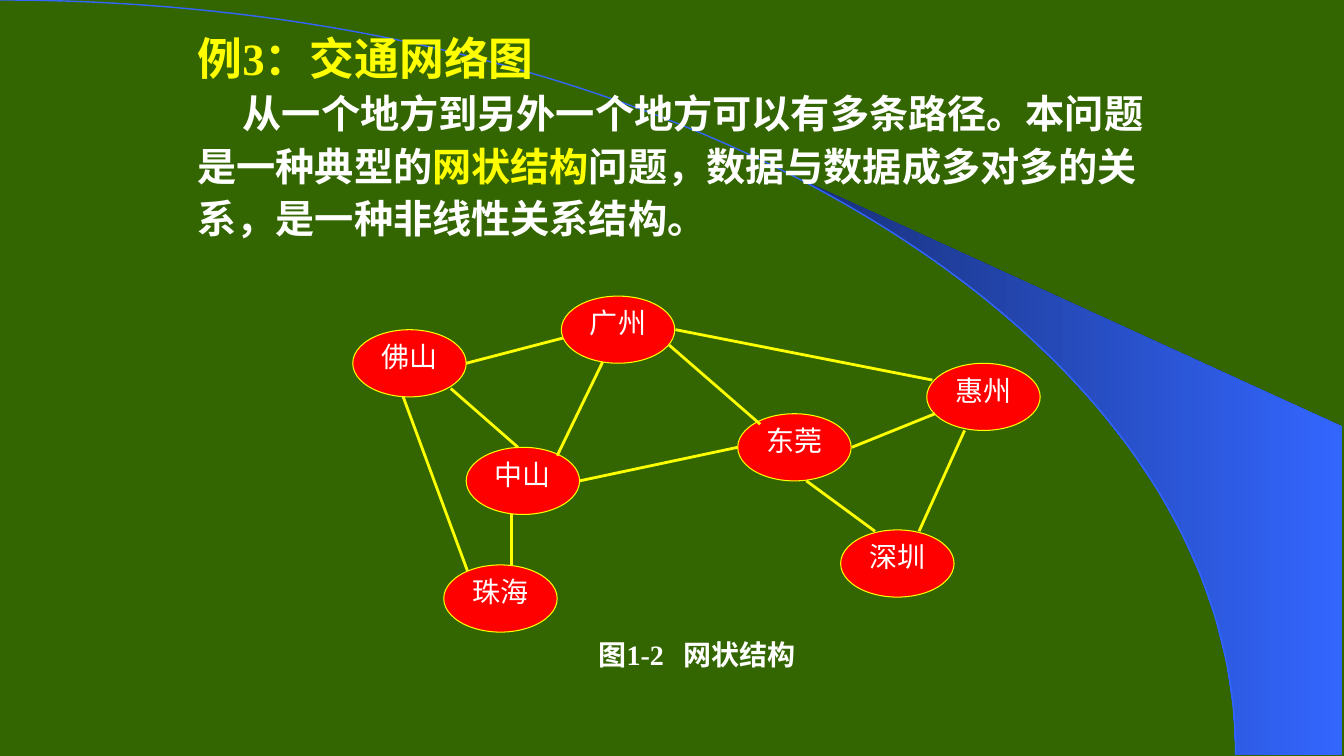
from pptx import Presentation, util as u
from pptx.dml.color import RGBColor
from pptx.enum import shapes, text
from pptx.oxml.ns import qn
from lxml import etree

Pt = u.Pt
HUES = {"green": "336600", "navy": "182F76", "blue": "3366FF",
        "yellow": "FFFF00", "red": "FF0000", "white": "FFFFFF"}
LATIN, HAN = "Times New Roman", "Noto Sans CJK SC"
NODE = (81, 48)
SWEEP = [(0, 0), (487.4, 0), (882.7, 241.2), (882.7, 539.3)]

CITIES = [("佛山", 252, 235.5), ("惠州", 662, 259.5), ("广州", 401, 211.5),
          ("中山", 333, 319.5), ("东莞", 527, 295.5), ("深圳", 600.5, 378.5),
          ("珠海", 317, 403.5)]
ROADS = [(365.3, 403.5, 365.3, 367.5), (370, 319.5, 322, 277.5),
         (527, 319.5, 414, 343.5), (543, 303, 478, 246.5),
         (625, 379.5, 576, 343.5), (656.5, 379.5, 689, 307.5),
         (666, 271.5, 482.5, 235.5), (398, 325.5, 430.5, 258.5),
         (402, 241.5, 333, 259.5), (668, 295.5, 608.5, 319.5),
         (334, 408, 288, 283.5)]


def color(name):
    return RGBColor.from_string(HUES[name])


def arc(start, steps=15):
    """Points of the cubic SWEEP, from parameter start to 1."""
    pts = []
    for i in range(steps + 1):
        t = start + (1 - start) * i / steps
        s = 1 - t
        parts = (s ** 3, 3 * s * s * t, 3 * s * t * t, t ** 3)
        pts.append(tuple(sum(k * p[axis] for k, p in zip(parts, SWEEP))
                         for axis in (0, 1)))
    return pts


def write(para, words, size=20, hue="white", bold=False):
    run = para.add_run()
    run.text = words
    font = run.font
    font.size, font.bold, font.name = Pt(size), bold, LATIN
    font.color.rgb = color(hue)
    etree.SubElement(font._element, qn("a:ea")).set("typeface", HAN)


class Board:
    def __init__(self, slide):
        self.items = slide.shapes
        self.line = "yellow"
        back = slide.background.fill
        back.solid()
        back.fore_color.rgb = color("green")

    def free(self, pts, close):
        pts = [(Pt(x), Pt(y)) for x, y in pts]
        form = self.items.build_freeform(*pts[0], scale=1.0)
        form.add_line_segments(pts[1:], close=close)
        shape = form.convert_to_shape()
        shape.shadow.inherit = False
        return shape

    def wedge(self, pts):
        shape = self.free(pts, True)
        shape.line.fill.background()
        shape.fill.gradient()
        shape.fill.gradient_angle = 0
        for stop, hue in zip(shape.fill.gradient_stops, ("navy", "blue")):
            stop.color.rgb = color(hue)

    def curve(self, pts):
        """Draw one cubic: start, two handles, end."""
        shape = self.free(pts, False)
        shape.fill.background()
        shape.line.color.rgb = color("blue")
        shape.line.width = Pt(1)
        legs = list(shape._element.iter(qn("a:lnTo")))
        bend = etree.SubElement(legs[0].getparent(), qn("a:cubicBezTo"))
        for leg in legs:
            bend.append(leg[0])
            leg.getparent().remove(leg)

    def node(self, name, x, y):
        shape = self.items.add_shape(shapes.MSO_SHAPE.OVAL, Pt(x), Pt(y),
                                     *map(Pt, NODE))
        shape.shadow.inherit = False
        shape.fill.solid()
        shape.fill.fore_color.rgb = color("red")
        shape.line.color.rgb = color(self.line)
        shape.line.width = Pt(0.75)
        frame = shape.text_frame
        frame.margin_left = frame.margin_right = 0
        frame.margin_top = frame.margin_bottom = 0
        frame.vertical_anchor = text.MSO_ANCHOR.TOP
        para = frame.paragraphs[0]
        para.alignment = text.PP_ALIGN.CENTER
        para.line_spacing = Pt(24)
        write(para, name)

    def road(self, *ends):
        link = self.items.add_connector(shapes.MSO_CONNECTOR.STRAIGHT,
                                        *map(Pt, ends))
        link.line.color.rgb = color(self.line)
        link.line.width = Pt(2)
        etree.SubElement(link._element.spPr, qn("a:effectLst"))

    def box(self, x, y, w, h):
        frame = self.items.add_textbox(*map(Pt, (x, y, w, h))).text_frame
        frame.word_wrap = True
        return frame


def main():
    deck = Presentation()
    deck.slide_width, deck.slide_height = Pt(960), Pt(540)
    board = Board(deck.slides.add_slide(deck.slide_layouts[6]))

    board.wedge(arc(0.44) + [(958.3, 539.3), (958.3, 304.6)])
    board.curve(SWEEP)

    intro = board.box(134, 15, 694, 170)
    title = intro.paragraphs[0]
    title.line_spacing = Pt(42)
    write(title, "例3：交通网络图", size=32, hue="yellow", bold=True)
    body = intro.add_paragraph()
    body.line_spacing = Pt(37.2)
    body._p.get_or_add_pPr().set("indent", str(Pt(32.4)))
    for words, hue in (
            ("从一个地方到另外一个地方可以有多条路径。本问题是一种典型的", "white"),
            ("网状结构", "yellow"),
            ("问题，数据与数据成多对多的关系，是一种非线性关系结构。", "white")):
        write(body, words, size=28, hue=hue, bold=True)

    for city in CITIES:
        board.node(*city)
    for ends in ROADS:
        board.road(*ends)

    note = board.box(402, 448.5, 192, 36)
    note.vertical_anchor = text.MSO_ANCHOR.MIDDLE
    label = note.paragraphs[0]
    label.alignment = text.PP_ALIGN.CENTER
    label.line_spacing = Pt(26)
    for words, size in (("图1-2", 20), ("　", 14), ("网状结构", 20)):
        write(label, words, size=size, bold=True)

    deck.save("out.pptx")


if __name__ == "__main__":
    main()
